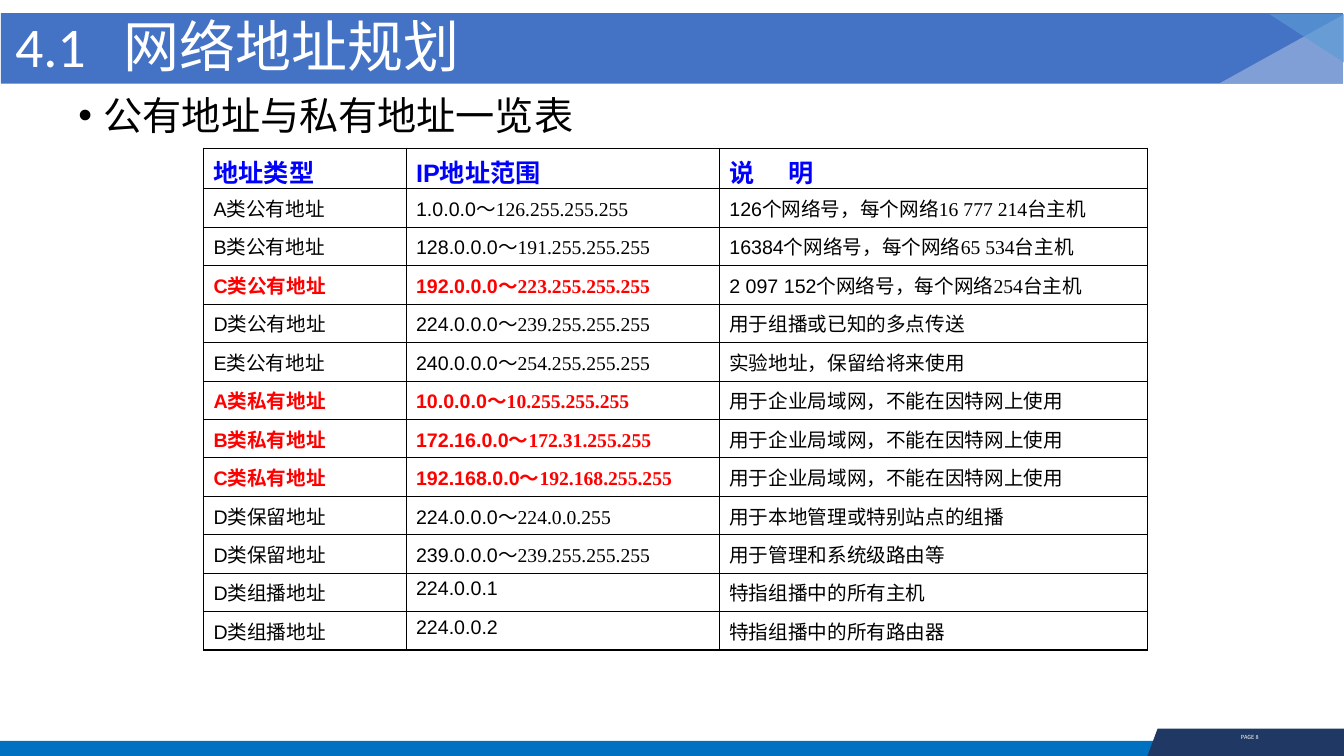
"""Build the slide that lists public and private IP address ranges."""
import itertools

import pptx
import pptx.dml.color
import pptx.enum.shapes
import pptx.enum.text
import pptx.oxml.ns
import pptx.util
from lxml import etree

WIDE, HIGH = pptx.util.Inches(13.34), pptx.util.Inches(7.5)
HUES = {
    "white": "FFFFFF", "black": "000000", "red": "FF0000", "head": "0000FF",
    "foot": "0070C0", "navy": "203864", "band": "4472C4",
    "pale": "8FAADC", "sky": "5B9BD5",
}
LATIN, SERIF, HAN = "Arial", "Times New Roman", "Noto Sans CJK SC"
ROWS = [
    ("地址类型", "IP地址范围", "说\t明"),
    ("A类公有地址", "1.0.0.0～126.255.255.255", "126个网络号，每个网络16 777 214台主机"),
    ("B类公有地址", "128.0.0.0～191.255.255.255", "16384个网络号，每个网络65 534台主机"),
    ("C类公有地址", "192.0.0.0～223.255.255.255", "2 097 152个网络号，每个网络254台主机"),
    ("D类公有地址", "224.0.0.0～239.255.255.255", "用于组播或已知的多点传送"),
    ("E类公有地址", "240.0.0.0～254.255.255.255", "实验地址，保留给将来使用"),
    ("A类私有地址", "10.0.0.0～10.255.255.255", "用于企业局域网，不能在因特网上使用"),
    ("B类私有地址", "172.16.0.0～172.31.255.255", "用于企业局域网，不能在因特网上使用"),
    ("C类私有地址", "192.168.0.0～192.168.255.255", "用于企业局域网，不能在因特网上使用"),
    ("D类保留地址", "224.0.0.0～224.0.0.255", "用于本地管理或特别站点的组播"),
    ("D类保留地址", "239.0.0.0～239.255.255.255", "用于管理和系统级路由等"),
    ("D类组播地址", "224.0.0.1", "特指组播中的所有主机"),
    ("D类组播地址", "224.0.0.2", "特指组播中的所有路由器"),
]
RED_ROWS = {3, 6, 7, 8}


def place(left, top, width, height):
    """Turn percentages of the slide into lengths."""
    return [int(share * side / 100) for share, side in
            zip((left, top, width, height), (WIDE, HIGH, WIDE, HIGH))]


def write(para, text, size=14, font=SERIF, hue="black", bold=False, tab=None):
    """Add one formatted run, with an optional tab stop in inches."""
    if tab:
        stops = etree.SubElement(para._p.get_or_add_pPr(), pptx.oxml.ns.qn("a:tabLst"))
        etree.SubElement(stops, pptx.oxml.ns.qn("a:tab"),
                         pos=str(pptx.util.Inches(tab)), algn="l")
    run = para.add_run()
    run.text = text
    run.font.size = pptx.util.Pt(size)
    run.font.name = font
    run.font.bold = bold
    run.font.color.rgb = pptx.dml.color.RGBColor.from_string(HUES[hue])
    etree.SubElement(run._r.rPr, pptx.oxml.ns.qn("a:ea"), typeface=HAN)


deck = pptx.Presentation()
deck.slide_width, deck.slide_height = WIDE, HIGH
slide = deck.slides.add_slide(deck.slide_layouts[5])
shapes = slide.shapes

KIND = pptx.enum.shapes.MSO_SHAPE
panels = [
    (KIND.RECTANGLE, (0, 98, 100, 2), "foot", None, ()),
    (KIND.RECTANGLE, (0.07, 1.73, 99.85, 9.33), "band", None, ()),
    (KIND.ISOSCELES_TRIANGLE, (90.7, 2, 9.22, 9.07), "pale", 82, ("flipH",)),
    (KIND.ISOSCELES_TRIANGLE, (94.45, 1.87, 5.55, 6.4), "sky", 67, ("flipH", "flipV")),
]
drawn = []
for kind, area, hue, alpha, flips in panels:
    panel = shapes.add_shape(kind, *place(*area))
    if flips:
        panel.adjustments[0] = 0
    for flip in flips:
        panel._element.spPr.xfrm.set(flip, "1")
    drawn.append((panel, hue, alpha))

pen = shapes.build_freeform(*place(86.13, 96.4, 0, 0)[:2])
pen.add_line_segments([place(x, y, 0, 0)[:2] for x, y in
                       ((100, 96.4), (100, 100), (85.38, 100))], close=True)
drawn.append((pen.convert_to_shape(), "navy", None))

for panel, hue, alpha in drawn:
    panel.shadow.inherit = False
    panel.fill.solid()
    panel.fill.fore_color.rgb = pptx.dml.color.RGBColor.from_string(HUES[hue])
    panel.line.fill.background()
    if alpha:
        tint = panel._element.spPr.find(".//" + pptx.oxml.ns.qn("a:srgbClr"))
        etree.SubElement(tint, pptx.oxml.ns.qn("a:alpha"), val=str(alpha * 1000))

page = shapes.add_textbox(*place(90.63, 96.4, 4.72, 2.4)).text_frame
page.word_wrap = False
page.paragraphs[0].alignment = pptx.enum.text.PP_ALIGN.CENTER
write(page.paragraphs[0], "PAGE 8", size=4, font=HAN, hue="white")

title = shapes.title
shapes._spTree.append(title._element)
title.left, title.top, title.width, title.height = place(0.37, 1.87, 86.21, 9.33)
title.text_frame.auto_size = pptx.enum.text.MSO_AUTO_SIZE.NONE
title.text_frame.vertical_anchor = pptx.enum.text.MSO_ANCHOR.MIDDLE
para = title.text_frame.paragraphs[0]
para.alignment = pptx.enum.text.PP_ALIGN.LEFT
para.line_spacing = 0.9
write(para, "4.1\t网络地址规划", size=40, font="Calibri", hue="white", tab=1.08)

topic = shapes.add_textbox(*place(5.1, 12.13, 86.21, 7.33)).text_frame
topic.word_wrap = True
para = topic.paragraphs[0]
para.line_spacing = 0.9
props = para._p.get_or_add_pPr()
props.set("marL", str(pptx.util.Inches(0.25)))
props.set("indent", str(pptx.util.Inches(-0.25)))
etree.SubElement(props, pptx.oxml.ns.qn("a:buFont"), typeface=LATIN)
etree.SubElement(props, pptx.oxml.ns.qn("a:buChar"), char="•")
write(para, "公有地址与私有地址一览表", size=28, font="Calibri")

COLS = (15.07, 23.31, 31.86)
grid = shapes.add_table(len(ROWS), len(COLS), *place(15.14, 19.6, sum(COLS), 66.4)).table
grid.first_row = grid.horz_banding = False
for col, share in zip(grid.columns, COLS):
    col.width = int(share * WIDE / 100)
for r, texts in enumerate(ROWS):
    grid.rows[r].height = int((5.09 if r else 5.33) * HIGH / 100)
    for c, text in enumerate(texts):
        cell = grid.cell(r, c)
        edges = {"lnL": c == 0, "lnR": c == len(COLS) - 1,
                 "lnT": r == 0, "lnB": r == len(ROWS) - 1}
        for edge, outer in edges.items():
            line = etree.SubElement(cell._tc.get_or_add_tcPr(), pptx.oxml.ns.qn("a:" + edge),
                                    w=str(pptx.util.Pt(1 if outer else 0.45)))
            ink = etree.SubElement(line, pptx.oxml.ns.qn("a:solidFill"))
            etree.SubElement(ink, pptx.oxml.ns.qn("a:srgbClr"), val=HUES["black"])
        cell.fill.background()
        red = r in RED_ROWS and c < 2
        look = {"size": 14 if r else 18, "bold": red or r == 0,
                "hue": "red" if red else "black" if r else "head"}
        para = cell.text_frame.paragraphs[0]
        lead = "".join(itertools.takewhile(str.isascii, text))
        rest = text[len(lead):]
        if lead:
            write(para, lead, font=LATIN, **look)
        if rest:
            write(para, rest, tab=0.59 if "\t" in rest else None, **look)

deck.save("out.pptx")
